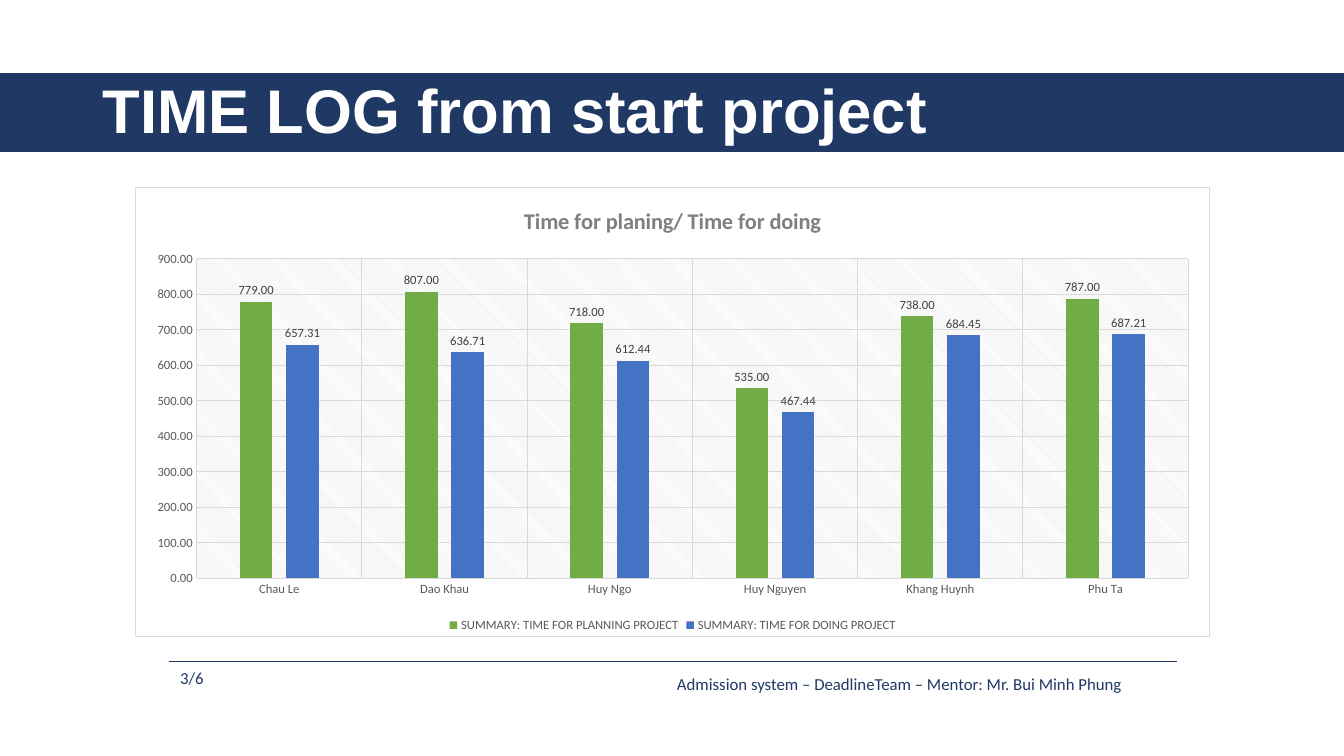
import dataclasses
import typing

import lxml.etree
import pptx
import pptx.chart.data
import pptx.dml.color
import pptx.enum.chart
import pptx.enum.shapes
import pptx.enum.text
import pptx.oxml
import pptx.oxml.ns
import pptx.util

Cm = pptx.util.Cm
Pt = pptx.util.Pt
qn = pptx.oxml.ns.qn


@dataclasses.dataclass(frozen=True)
class Theme:
    navy: str = "203864"
    white: str = "FFFFFF"
    green: str = "70AD47"
    blue: str = "4472C4"
    grid: str = "D9D9D9"
    title: str = "7F7F7F"
    axis: str = "595959"
    label: str = "404040"
    head: str = "Arial"
    body: str = "Calibri"
    big: float = 44
    mid: float = 16
    foot: float = 12
    small: float = 9
    hair: float = 0.75


class Box(typing.NamedTuple):
    left: float
    top: float
    width: float
    height: float

    def cm(self) -> list[pptx.util.Length]:
        return [Cm(side) for side in self]


class Series(typing.NamedTuple):
    name: str
    hours: tuple[float, ...]
    color: str


THEME = Theme()
PEOPLE = ("Chau Le", "Dao Khau", "Huy Ngo", "Huy Nguyen", "Khang Huynh", "Phu Ta")
LOGS = (
    Series("SUMMARY: TIME FOR PLANNING PROJECT", (779, 807, 718, 535, 738, 787), THEME.green),
    Series("SUMMARY: TIME FOR DOING PROJECT",
           (657.31, 636.71, 612.44, 467.44, 684.45, 687.21), THEME.blue),
)
FORMAT = "0.00"


def rgb(color: str) -> pptx.dml.color.RGBColor:
    return pptx.dml.color.RGBColor.from_string(color)


def set_font(font: typing.Any, size: float, color: str, face: str = THEME.body,
             bold: bool = False) -> None:
    font.size, font.name, font.bold = Pt(size), face, bold
    font.color.rgb = rgb(color)


def set_line(line: typing.Any, color: str, width: float) -> None:
    line.color.rgb = rgb(color)
    line.width = Pt(width)


def add_text(slide: typing.Any, box: Box, text: str, *, size: float = THEME.foot,
             color: str = THEME.navy, face: str = THEME.body, bold: bool = False,
             anchor: typing.Any = pptx.enum.text.MSO_ANCHOR.TOP, space: float = 1) -> None:
    frame = slide.shapes.add_textbox(*box.cm()).text_frame
    frame.word_wrap = True
    frame.vertical_anchor = anchor
    para = frame.paragraphs[0]
    para.line_spacing = space
    run = para.add_run()
    run.text = text
    set_font(run.font, size, color, face, bold)


def add_band(slide: typing.Any, box: Box) -> None:
    band = slide.shapes.add_shape(pptx.enum.shapes.MSO_SHAPE.RECTANGLE, *box.cm())
    band.shadow.inherit = False
    band.fill.solid()
    band.fill.fore_color.rgb = rgb(THEME.navy)
    set_line(band.line, THEME.navy, 1)


def add_rule(slide: typing.Any, left: float, right: float, top: float) -> None:
    rule = slide.shapes.add_connector(
        pptx.enum.shapes.MSO_CONNECTOR.STRAIGHT, Cm(left), Cm(top), Cm(right), Cm(top))
    set_line(rule.line, THEME.navy, 0.5)
    lxml.etree.SubElement(rule._element.spPr, qn("a:effectLst"))


def make_xml(tag: str, body: str) -> typing.Any:
    names = pptx.oxml.ns.nsdecls("c", "a")
    return pptx.oxml.parse_xml(f"<{tag} {names}>{body}</{tag}>")


def solid(color: str) -> str:
    return f'<a:solidFill><a:srgbClr val="{color}"/></a:solidFill>'


def style_area(chart: typing.Any) -> None:
    root = chart._chartSpace.find(qn("c:chart"))
    edge = f'<a:ln w="{Pt(THEME.hair)}">{solid(THEME.grid)}</a:ln>'
    root.addnext(make_xml("c:spPr", solid(THEME.white) + edge))
    plot = root.find(qn("c:plotArea"))
    for old in plot.findall(qn("c:layout")):
        plot.remove(old)
    place = {"x": 0.057, "y": 0.16, "w": 0.923, "h": 0.711}
    rules = '<c:layoutTarget val="inner"/><c:xMode val="edge"/><c:yMode val="edge"/>'
    rules += "".join(f'<c:{key} val="{part}"/>' for key, part in place.items())
    plot.insert(0, make_xml("c:layout", f"<c:manualLayout>{rules}</c:manualLayout>"))
    plot.append(make_xml(
        "c:spPr",
        f'<a:pattFill prst="ltDnDiag"><a:fgClr><a:srgbClr val="{THEME.grid}"/></a:fgClr>'
        f'<a:bgClr><a:srgbClr val="{THEME.white}"/></a:bgClr></a:pattFill>'
        "<a:ln><a:noFill/></a:ln>"))


def style_axes(chart: typing.Any) -> None:
    for axis in (chart.category_axis, chart.value_axis):
        axis.major_tick_mark = axis.minor_tick_mark = pptx.enum.chart.XL_TICK_MARK.NONE
        axis.has_major_gridlines = True
        set_line(axis.major_gridlines.format.line, THEME.grid, THEME.hair)
        set_font(axis.tick_labels.font, THEME.small, THEME.axis)
    set_line(chart.category_axis.format.line, THEME.grid, THEME.hair)
    scale = chart.value_axis
    scale.format.line.fill.background()
    scale.minimum_scale, scale.maximum_scale, scale.major_unit = 0, 900, 100
    scale.tick_labels.number_format = FORMAT
    scale.tick_labels.number_format_is_linked = False


def style_bars(plot: typing.Any) -> None:
    plot.gap_width, plot.overlap = 267, -43
    plot.vary_by_categories = False
    for bars, log in zip(plot.series, LOGS):
        bars.format.fill.solid()
        bars.format.fill.fore_color.rgb = rgb(log.color)
        bars.invert_if_negative = False
        tags = bars.data_labels
        tags.show_value = True
        tags.position = pptx.enum.chart.XL_LABEL_POSITION.OUTSIDE_END
        tags.number_format = FORMAT
        tags.number_format_is_linked = False
        set_font(tags.font, THEME.small, THEME.label)


def add_graph(slide: typing.Any, box: Box, title: str) -> None:
    data = pptx.chart.data.CategoryChartData(number_format=FORMAT)
    data.categories = PEOPLE
    for log in LOGS:
        data.add_series(log.name, log.hours)
    chart = slide.shapes.add_chart(
        pptx.enum.chart.XL_CHART_TYPE.COLUMN_CLUSTERED, *box.cm(), data).chart
    set_font(chart.font, THEME.small, THEME.axis)
    chart.has_title = True
    run = chart.chart_title.text_frame.paragraphs[0].add_run()
    run.text = title
    set_font(run.font, THEME.mid, THEME.title, bold=True)
    chart.has_legend = True
    chart.legend.position = pptx.enum.chart.XL_LEGEND_POSITION.BOTTOM
    chart.legend.include_in_layout = False
    set_font(chart.legend.font, THEME.small, THEME.axis)
    style_axes(chart)
    style_bars(chart.plots[0])
    style_area(chart)


def main() -> None:
    deck = pptx.Presentation()
    deck.slide_width, deck.slide_height = Cm(33.87), Cm(19.05)
    slide = deck.slides.add_slide(deck.slide_layouts[6])
    add_band(slide, Box(0, 1.85, 33.87, 1.96))
    add_text(slide, Box(2.34, 1.02, 29.21, 3.68), "TIME LOG from start project",
             size=THEME.big, color=THEME.white, face=THEME.head, bold=True,
             anchor=pptx.enum.text.MSO_ANCHOR.MIDDLE, space=0.9)
    add_rule(slide, 4.27, 29.67, 16.66)
    add_text(slide, Box(16.81, 16.84, 12.9, 0.76),
             "Admission system – DeadlineTeam – Mentor: Mr. Bui Minh Phung")
    add_text(slide, Box(4.29, 16.71, 1.3, 0.76), "3/6")
    add_graph(slide, Box(3.4, 4.7, 27.1, 11.35), "Time for planing/ Time for doing")
    deck.save("out.pptx")


main()
